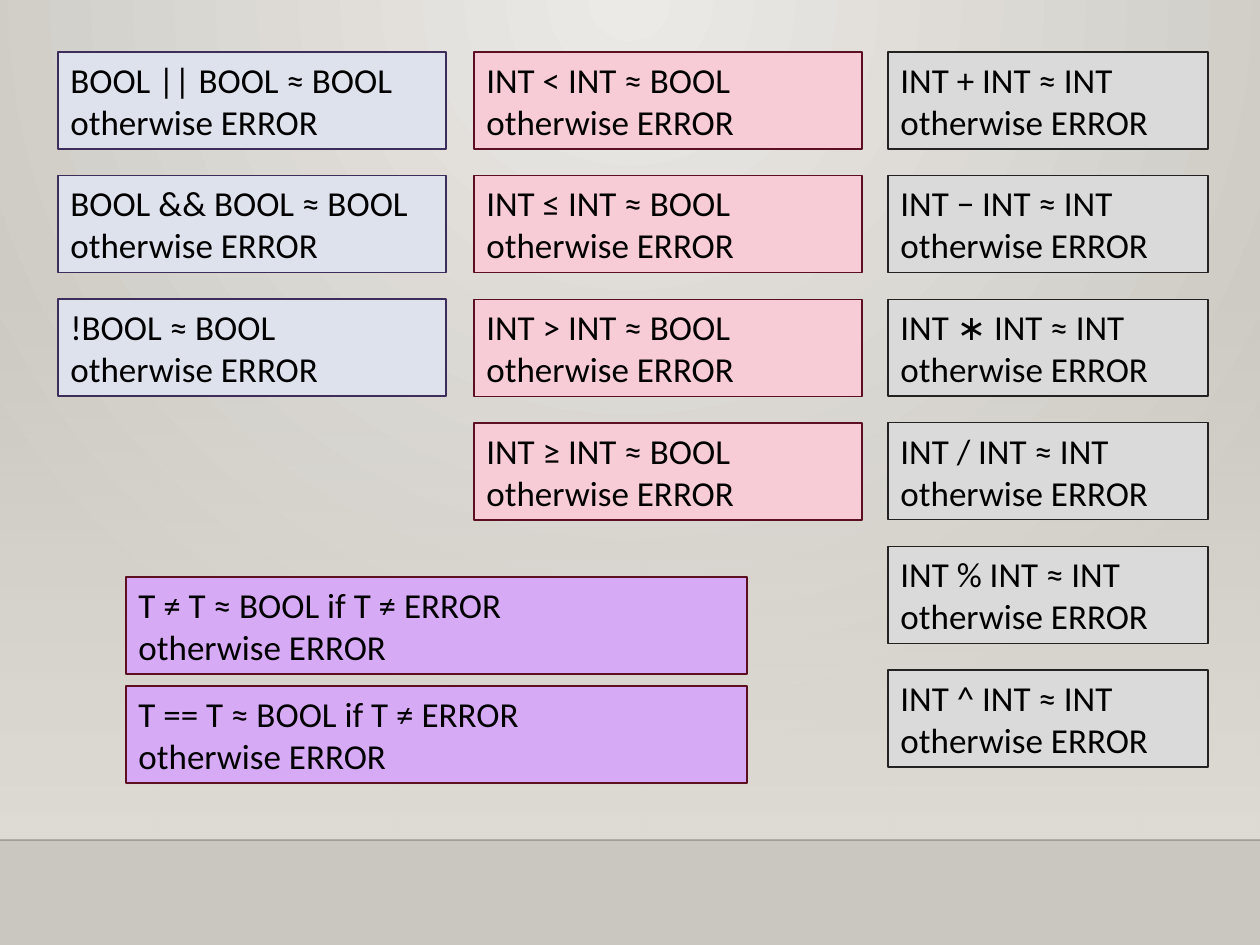
from lxml.etree import SubElement
from pptx import Presentation
from pptx.dml.color import RGBColor
from pptx.enum.shapes import MSO_CONNECTOR, MSO_SHAPE
from pptx.enum.text import MSO_ANCHOR, MSO_AUTO_SIZE, PP_ALIGN
from pptx.oxml.ns import qn
from pptx.util import Pt

SCALE = 914400 / 126
SLIDE_WIDTH, SLIDE_HEIGHT = 1260, 945
RULE_HEIGHT = 97
FONT = {"name": "Calibri", "size": Pt(20)}
FRAME = {
    "word_wrap": True,
    "auto_size": MSO_AUTO_SIZE.SHAPE_TO_FIT_TEXT,
    "vertical_anchor": MSO_ANCHOR.TOP,
}

# Box (left, top, width, height), fill, line, typing rules
RULE_GROUPS = [
    ((888, 52, 320, 715), "DADADA", "222222",
     [f"INT {operator} INT ≈ INT" for operator in "+−∗/%^"]),
    ((58, 52, 388, 344), "DEE2ED", "3C2D5A",
     ["BOOL || BOOL ≈ BOOL", "BOOL && BOOL ≈ BOOL", "!BOOL ≈ BOOL"]),
    ((474, 52, 388, 468), "F7CCD6", "5C0F21",
     [f"INT {operator} INT ≈ BOOL" for operator in "<≤>≥"]),
    ((126, 577, 621, 206), "D7AAF6", "5C0F21",
     [f"T {operator} T ≈ BOOL if T ≠ ERROR" for operator in ("≠", "==")]),
]


def px(*lengths):
    return [round(length * SCALE) for length in lengths]


def color(hex_value):
    return RGBColor.from_string(hex_value)


def set_attributes(target, values):
    for name, value in values.items():
        setattr(target, name, value)


def set_gradient(fill, first, last):
    fill.gradient()
    for stop, hex_value, position in zip(fill.gradient_stops, (first, last), (0, 1)):
        stop.color.rgb = color(hex_value)
        stop.position = position


def set_alpha(element, percent):
    """Set the opacity of the first colour inside the element."""
    first_color = next(element.iter(qn("a:srgbClr")))
    SubElement(first_color, qn("a:alpha"), val=str(percent * 1000))


def paint_background(slide):
    """Fill the slide with a radial gradient centred on its top edge."""
    background = slide.background
    set_gradient(background.fill, "ECEAE7", "CAC7C1")
    gradient = next(slide._element.iter(qn("a:gradFill")))
    gradient.remove(gradient.find(qn("a:lin")))
    circle = SubElement(gradient, qn("a:path"), path="circle")
    SubElement(circle, qn("a:fillToRect"), l="43000", t="0", r="43000", b="100000")


def add_wall(slide, left, top, width, height):
    """Add the fading panel and the thin line along its bottom."""
    panel = slide.shapes.add_shape(MSO_SHAPE.RECTANGLE, *px(left, top, width, height))
    panel.shadow.inherit = False
    set_gradient(panel.fill, "DFDBD5", "DFDBD5")
    panel.fill.gradient_angle = 270
    set_alpha(panel._element.spPr, 0)
    panel.line.fill.background()

    bottom = top + height
    edge = slide.shapes.add_connector(
        MSO_CONNECTOR.STRAIGHT, *px(left, bottom, left + width, bottom))
    edge.line.color.rgb = color("000001")
    edge.line.width = Pt(1)
    properties = edge._element.spPr
    set_alpha(properties, 20)
    SubElement(properties, qn("a:effectLst"))


def add_rule(slide, box, fill, line, rule):
    shape = slide.shapes.add_shape(MSO_SHAPE.RECTANGLE, *px(*box))
    shape.shadow.inherit = False
    shape.fill.solid()
    shape.fill.fore_color.rgb = color(fill)
    shape.line.color.rgb = color(line)
    shape.line.width = Pt(0.75)
    frame = shape.text_frame
    set_attributes(frame, FRAME)
    frame.text = f"{rule}\notherwise ERROR"
    for paragraph in frame.paragraphs:
        paragraph.alignment = PP_ALIGN.LEFT
        for run in paragraph.runs:
            set_attributes(run.font, FONT)
            run.font.color.rgb = color("000000")


def add_rule_group(slide, box, fill, line, rules):
    """Spread the rules evenly from the top to the bottom of the box."""
    left, top, width, height = box
    pitch = (height - RULE_HEIGHT) / (len(rules) - 1)
    for row, rule in enumerate(rules):
        add_rule(slide, (left, top + row * pitch, width, RULE_HEIGHT), fill, line, rule)


def main():
    presentation = Presentation()
    presentation.slide_width, presentation.slide_height = px(SLIDE_WIDTH, SLIDE_HEIGHT)
    slide = presentation.slides.add_slide(presentation.slide_layouts[6])
    paint_background(slide)
    add_wall(slide, 0, 277, SLIDE_WIDTH, 563)
    for group in RULE_GROUPS:
        add_rule_group(slide, *group)
    presentation.save("out.pptx")


if __name__ == "__main__":
    main()
